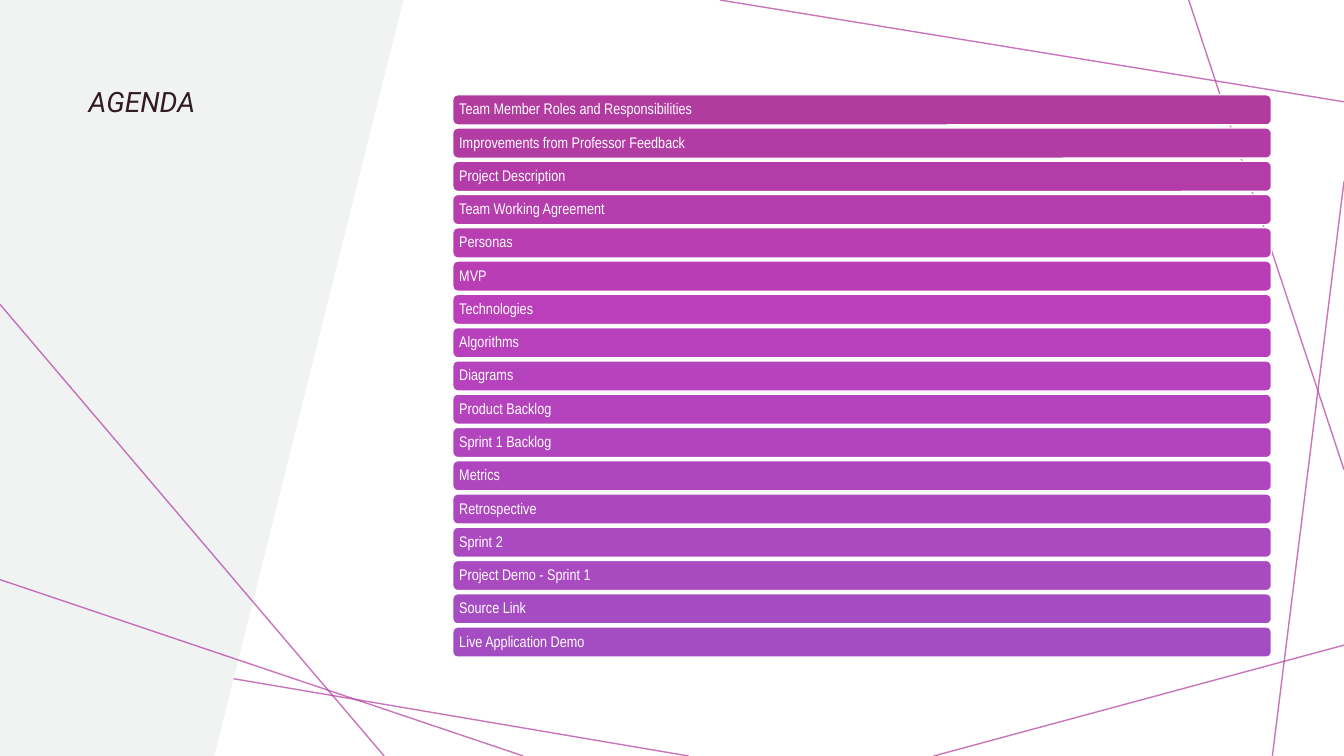
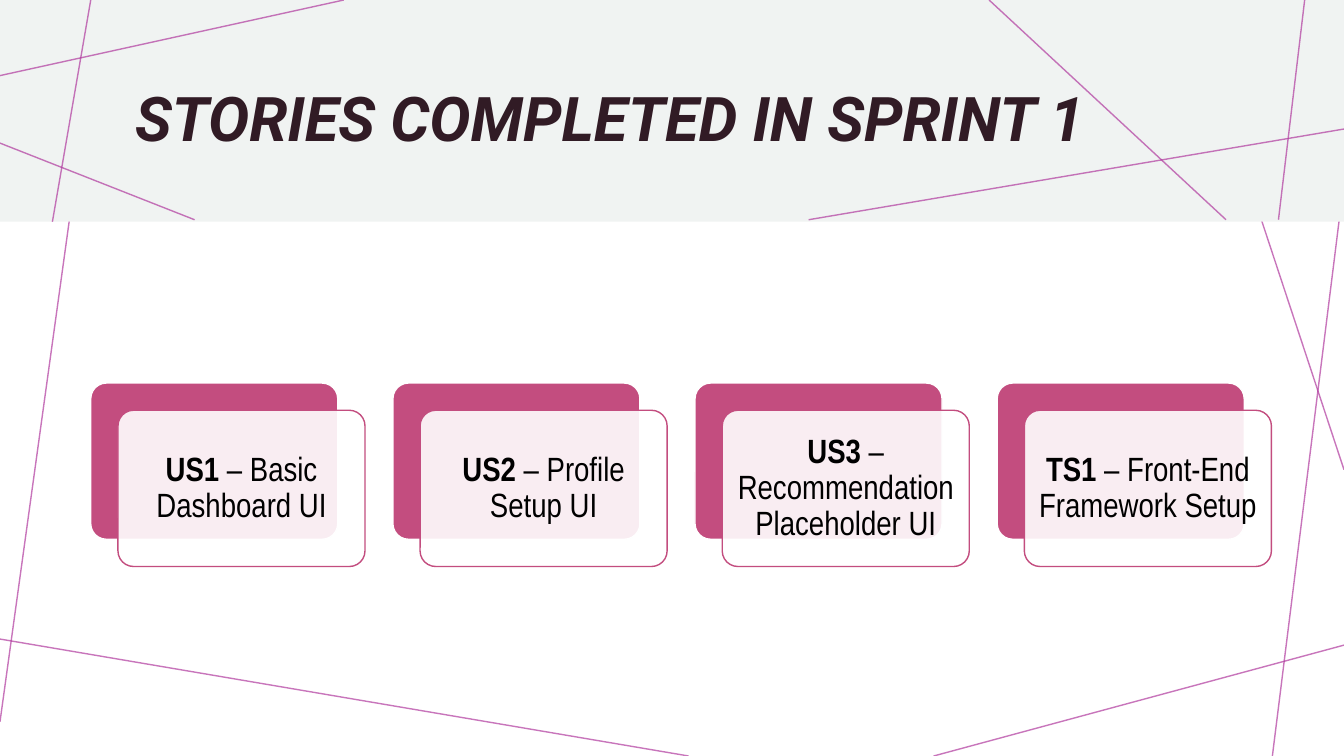
import lxml.etree
import pptx
import pptx.dml.color
import pptx.enum.shapes
import pptx.enum.text
import pptx.oxml.ns
import pptx.util

Inches = pptx.util.Inches
Pt = pptx.util.Pt
SHAPES = pptx.enum.shapes.MSO_SHAPE
ALIGN = pptx.enum.text.PP_ALIGN
ANCHOR = pptx.enum.text.MSO_ANCHOR

SLIDE_W, SLIDE_H = 13.33, 7.5
TITLE_FONT, BODY_FONT = "Roboto", "Arial Narrow"
COLORS = {
    "panel": "F0F3F2",
    "title": "311B25",
    "accent": "B13B9F",
    "accent_mid": "BB3FBB",
    "accent_end": "A44DC3",
    "card": "C34D7F",
    "white": "FFFFFF",
    "black": "000000",
}

# Decorative lines: x1, y1, x2, y2
BACKGROUND_LINES = [
    (3.41, 0, 0, 0.75), (0.99, 0, 0, 7.16), (6.83, 7.5, 0, 6.34),
    (13.33, 6.4, 9.26, 7.5), (13.33, 1.8, 12.62, 7.5),
    (13.33, 4.66, 11.79, 0), (13.33, 1.01, 7.14, 0),
]
PANEL_LINES = [(0, 3.02, 3.81, 7.5), (5.19, 7.5, 0, 5.75)]
BAND_LINES = [
    (3.41, 0, 0, 0.75), (0.9, 0, 0.52, 2.2), (1.93, 2.18, 0, 1.42),
    (13.33, 1.28, 8.02, 2.18), (12.16, 2.18, 9.81, 0),
    (12.94, 0, 12.68, 2.18),
]

AGENDA = [
    "Team Member Roles and Responsibilities",
    "Improvements from Professor Feedback",
    "Project Description",
    "Team Working Agreement",
    "Personas",
    "MVP",
    "Technologies",
    "Algorithms",
    "Diagrams",
    "Product Backlog",
    "Sprint 1 Backlog",
    "Metrics",
    "Retrospective",
    "Sprint 2",
    "Project Demo - Sprint 1",
    "Source Link",
    "Live Application Demo",
]
STORIES = [
    ("US1", "Basic Dashboard UI"),
    ("US2", "Profile Setup UI"),
    ("US3", "Recommendation Placeholder UI"),
    ("TS1", "Front-End Framework Setup"),
]


def rgb(value):
    return pptx.dml.color.RGBColor.from_string(value)


def set_alpha(color_parent, percent):
    color = color_parent.find(".//" + pptx.oxml.ns.qn("a:srgbClr"))
    alpha = lxml.etree.SubElement(color, pptx.oxml.ns.qn("a:alpha"))
    alpha.set("val", str(percent * 1000))


def paint(shape, fill, outline=None):
    shape.shadow.inherit = False
    shape.fill.solid()
    shape.fill.fore_color.rgb = rgb(fill)
    if outline:
        shape.line.color.rgb = rgb(outline)
        shape.line.width = Pt(1)
    else:
        shape.line.fill.background()


def add_box(slide, kind, box, fill, outline=None):
    shape = slide.shapes.add_shape(kind, *map(Inches, box))
    paint(shape, fill, outline)
    return shape


def format_text(shape, inset, size, font, color, align, anchor):
    frame = shape.text_frame
    frame.word_wrap = True
    frame.auto_size = pptx.enum.text.MSO_AUTO_SIZE.NONE
    frame.vertical_anchor = anchor
    frame.margin_left = frame.margin_right = Inches(inset)
    frame.margin_top = frame.margin_bottom = Inches(min(inset, 0.1))
    paragraph = frame.paragraphs[0]
    paragraph.alignment = align
    paragraph.line_spacing = 0.9
    paragraph.font.size = Pt(size)
    paragraph.font.name = font
    paragraph.font.color.rgb = rgb(color)
    return paragraph


def add_lines(slide, lines):
    for ends in lines:
        line = slide.shapes.add_connector(
            pptx.enum.shapes.MSO_CONNECTOR.STRAIGHT, *map(Inches, ends))
        line.line.color.rgb = rgb(COLORS["accent"])
        line.line.width = Pt(1)
        properties = line.element.spPr
        set_alpha(properties, 70)
        lxml.etree.SubElement(properties, pptx.oxml.ns.qn("a:effectLst"))


def start_slide(prs):
    slide = prs.slides.add_slide(prs.slide_layouts[5])
    add_lines(slide, BACKGROUND_LINES)
    return slide


def place_title(slide, text, box, size, anchor, bold=False):
    title = slide.shapes.title
    title.left, title.top, title.width, title.height = map(Inches, box)
    title.text_frame.text = text
    paragraph = format_text(title, 0.1, size, TITLE_FONT, COLORS["title"],
                            ALIGN.LEFT, anchor)
    paragraph.font.italic = True
    paragraph.font.bold = bold
    # Bring the title in front of the panel behind it
    title.element.getparent().append(title.element)


def ramp_color(position):
    """Colour at 0..1 along the accent ramp, whose middle stop is at 3/8."""
    stops = [rgb(COLORS[name]) for name in ("accent", "accent_mid", "accent_end")]
    middle = 3 / 8
    if position <= middle:
        start, end, share = stops[0], stops[1], position / middle
    else:
        start, end = stops[1:]
        share = (position - middle) / (1 - middle)
    return "".join(f"{round(a + (b - a) * share):02X}" for a, b in zip(start, end))


# Agenda: one bar per item, evenly stacked
def add_agenda_bars(slide, items, box):
    left, top, width, height = box
    bar_h = 0.3
    pitch = (height - bar_h) / (len(items) - 1)
    for i, item in enumerate(items):
        bar = add_box(slide, SHAPES.ROUNDED_RECTANGLE,
                      (left, top + i * pitch, width, bar_h),
                      ramp_color(i / (len(items) - 1)), COLORS["white"])
        bar.text_frame.text = item
        format_text(bar, 0.05, 11, BODY_FONT, COLORS["white"],
                    ALIGN.LEFT, ANCHOR.MIDDLE)


# Story card: a solid back plate and an offset translucent front
def add_story_card(slide, code, story, box):
    left, top, width, height = box
    offset = 0.27
    plate_w, plate_h = width - offset, height - offset
    back = add_box(slide, SHAPES.ROUNDED_RECTANGLE,
                   (left, top, plate_w, plate_h), COLORS["card"], COLORS["white"])
    front = add_box(slide, SHAPES.ROUNDED_RECTANGLE,
                    (left + offset, top + offset, plate_w, plate_h),
                    COLORS["white"], COLORS["card"])
    back.adjustments[0] = front.adjustments[0] = 0.1
    set_alpha(front.element.spPr, 90)
    paragraph = format_text(front, 0.1, 24, BODY_FONT, COLORS["black"],
                            ALIGN.CENTER, ANCHOR.MIDDLE)
    label = paragraph.add_run()
    label.text = code
    label.font.bold = True
    paragraph.add_run().text = f" – {story}"


def add_story_row(slide, stories, box):
    left, top, width, height = box
    card_w = 2.72
    pitch = (width - card_w) / (len(stories) - 1)
    for i, (code, story) in enumerate(stories):
        add_story_card(slide, code, story, (left + i * pitch, top, card_w, height))


def build_agenda(prs):
    slide = start_slide(prs)
    # Slanted side panel
    outline = slide.shapes.build_freeform(0, 0, scale=Inches(1))
    outline.add_line_segments([(4.18, 0), (2.47, SLIDE_H), (0, SLIDE_H)], close=True)
    paint(outline.convert_to_shape(), COLORS["panel"])
    add_lines(slide, PANEL_LINES)
    place_title(slide, "AGENDA", (0.78, 0.78, 2.7, 2.03), 20, ANCHOR.TOP)
    add_agenda_bars(slide, AGENDA, (4.49, 0.94, 8.12, 5.58))


def build_stories(prs):
    slide = start_slide(prs)
    # Top band
    add_box(slide, SHAPES.RECTANGLE, (0, 0, SLIDE_W, 2.2), COLORS["panel"])
    add_lines(slide, BAND_LINES)
    place_title(slide, "STORIES COMPLETED IN SPRINT 1",
                (1.24, 0.54, 11.01, 1.34), 44, ANCHOR.MIDDLE, bold=True)
    add_story_row(slide, STORIES, (0.9, 3.8, 11.71, 1.82))


def main():
    prs = pptx.Presentation()
    prs.slide_width, prs.slide_height = Inches(SLIDE_W), Inches(SLIDE_H)
    build_agenda(prs)
    build_stories(prs)
    prs.save("out.pptx")


if __name__ == "__main__":
    main()
